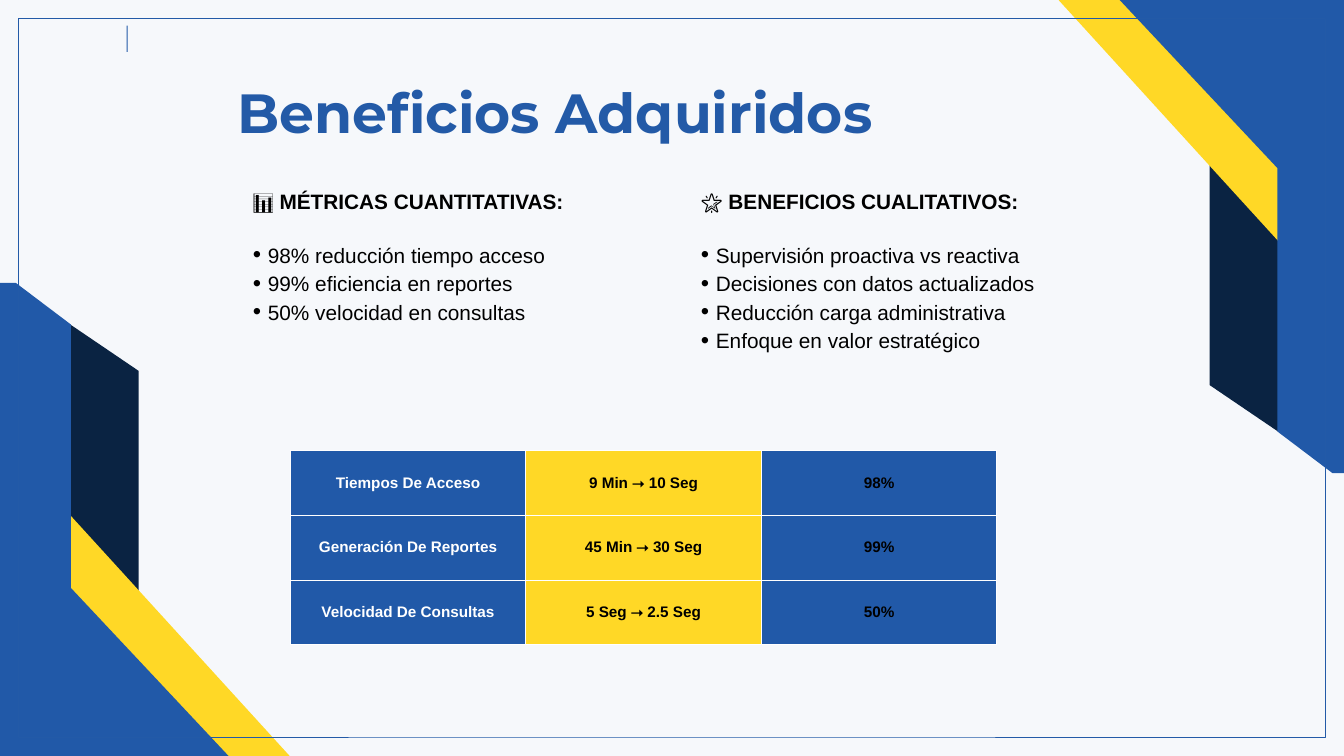
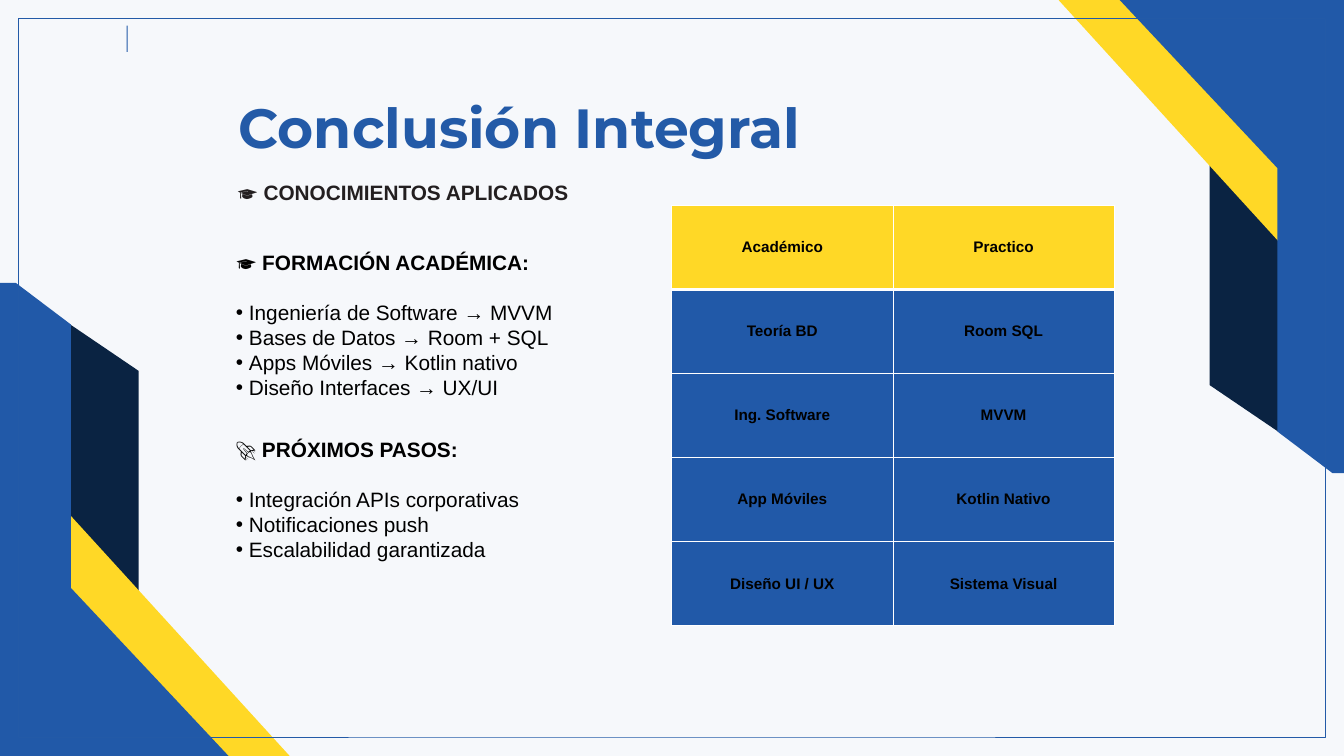
import dataclasses

import lxml.etree
import pptx
import pptx.dml.color
import pptx.enum.shapes
import pptx.enum.text
import pptx.oxml.ns
import pptx.util

Inches = pptx.util.Inches
Pt = pptx.util.Pt
qn = pptx.oxml.ns.qn


@dataclasses.dataclass(frozen=True)
class Theme:
    wide: float = 21.99
    high: float = 12.37
    paper: str = "F6F8FB"
    navy: str = "0A2342"
    gold: str = "FFD826"
    blue: str = "2159A8"
    title: str = "235AA7"
    ink: str = "231F20"
    black: str = "000000"
    white: str = "FFFFFF"
    font: str = "Arial"
    bold: str = "Montserrat"
    big: float = 65
    body: float = 24.5
    dot: float = 28
    small: float = 18
    lead: float = 1.2


BANDS = [
    ("navy", [(1.15, 5.31), (1.15, 8.94), (2.27, 9.7), (2.27, 6.07)]),
    ("gold", [(1.14, 8.42), (1.14, 9.93), (3.6, 12.37), (4.74, 12.37)]),
    ("blue", [(0.26, 4.63), (0, 4.63), (0, 12.37), (3.74, 12.37),
              (1.16, 9.62), (1.16, 5.31)]),
]
TURN = 22.06


def tint(code):
    return pptx.dml.color.RGBColor.from_string(code)


class Deck:
    def __init__(self, theme):
        self.theme = theme
        self.show = pptx.Presentation()
        self.show.slide_width = Inches(theme.wide)
        self.show.slide_height = Inches(theme.high)
        self.slide = None

    def page(self):
        theme = self.theme
        self.slide = self.show.slides.add_slide(self.show.slide_layouts[6])
        back = self.slide.background.fill
        back.solid()
        back.fore_color.rgb = tint(theme.paper)
        for name, dots in BANDS:
            self.band(dots, getattr(theme, name))
        for name, dots in BANDS:
            spun = [(min(TURN - x, theme.wide), theme.high - y) for x, y in dots]
            self.band(spun, getattr(theme, name))
        self.box(0.3, 0.3, 21.38, 11.76, line=theme.title)
        self.box(2.07, 0.42, 0.02, 0.43, fill=theme.blue)

    def paint(self, shape, fill=None, line=None):
        shape.shadow.inherit = False
        if fill:
            shape.fill.solid()
            shape.fill.fore_color.rgb = tint(fill)
        else:
            shape.fill.background()
        if line:
            shape.line.color.rgb = tint(line)
            shape.line.width = Pt(0.82)
        else:
            shape.line.fill.background()

    def band(self, dots, fill):
        ends = [(Inches(x), Inches(y)) for x, y in dots]
        path = self.slide.shapes.build_freeform(*ends[0], scale=1.0)
        path.add_line_segments(ends[1:], close=True)
        self.paint(path.convert_to_shape(), fill)

    def box(self, left, top, width, height, fill=None, line=None):
        kind = pptx.enum.shapes.MSO_SHAPE.RECTANGLE
        shape = self.slide.shapes.add_shape(
            kind, Inches(left), Inches(top), Inches(width), Inches(height))
        self.paint(shape, fill, line)

    def frame(self, left, top, width, height, side=0.1, edge=0.05):
        shape = self.slide.shapes.add_textbox(
            Inches(left), Inches(top), Inches(width), Inches(height))
        text = shape.text_frame
        text.word_wrap = True
        text.margin_left = text.margin_right = Inches(side)
        text.margin_top = text.margin_bottom = Inches(edge)
        return text

    def run(self, para, words, size, color, bold=False, font=None):
        run = para.add_run()
        run.text = words
        run.font.size = Pt(size)
        run.font.bold = bold
        run.font.name = font or self.theme.font
        run.font.color.rgb = tint(color)

    def title(self, words, left, top, width):
        theme = self.theme
        text = self.frame(left, top, width, 1.11, 0, 0.02)
        self.run(text.paragraphs[0], words, theme.big, theme.title, True, theme.bold)

    def label(self, words, left, top, width):
        theme = self.theme
        para = self.frame(left, top, width, 0.5, 0, 0.01).paragraphs[0]
        para.line_spacing = Pt(theme.body * theme.lead * 1.18)
        self.run(para, words, theme.body, theme.ink, True)

    def list(self, head, items, left, top, width, height, dot):
        theme = self.theme
        text = self.frame(left, top, width, height)
        para = text.paragraphs[0]
        gap = Pt(theme.body * theme.lead)
        para.line_spacing = gap
        self.run(para, head, theme.body, theme.black, True)
        for place, item in enumerate(items):
            para = text.add_paragraph()
            para.line_spacing = Pt(dot * theme.lead)
            para.space_before = Pt(0) if place else gap
            self.bullet(para, dot)
            self.run(para, item, theme.body, theme.black)

    def bullet(self, para, dot):
        prop = para._p.get_or_add_pPr()
        hang = Pt(dot * 0.63)
        prop.set("marL", str(hang))
        prop.set("indent", str(-hang))
        part = round(dot / self.theme.body * 100) * 1000
        lxml.etree.SubElement(prop, qn("a:buSzPct"), val=str(part))
        lxml.etree.SubElement(prop, qn("a:buFont"), typeface=self.theme.font)
        lxml.etree.SubElement(prop, qn("a:buChar"), char="•")

    def table(self, rows, left, top, width, height, style, head=False):
        theme = self.theme
        deep, across = len(rows), len(rows[0])
        grid = self.slide.shapes.add_table(
            deep, across, Inches(left), Inches(top),
            Inches(width), Inches(height)).table
        grid.first_row = grid.horz_banding = False
        for y, row in enumerate(rows):
            for x, words in enumerate(row):
                cell = grid.cell(y, x)
                fill, color = style(y, x)
                cell.fill.solid()
                cell.fill.fore_color.rgb = tint(fill)
                cell.vertical_anchor = pptx.enum.text.MSO_ANCHOR.MIDDLE
                para = cell.text_frame.paragraphs[0]
                para.alignment = pptx.enum.text.PP_ALIGN.CENTER
                self.run(para, words, theme.small, color, True)
                thick = {"T": 3 if head and y == 1 else 1,
                         "B": 3 if head and y == 0 else 1}
                self.rules(cell, thick)

    def rules(self, cell, thick):
        prop = cell._tc.get_or_add_tcPr()
        for place, side in enumerate("LRTB"):
            line = lxml.etree.Element(
                qn("a:ln" + side), w=str(Pt(thick.get(side, 1))))
            fill = lxml.etree.SubElement(line, qn("a:solidFill"))
            lxml.etree.SubElement(fill, qn("a:srgbClr"), val=self.theme.white)
            prop.insert(place, line)


def gains(deck):
    theme = deck.theme
    deck.page()
    deck.title("Beneficios Adquiridos", 3.88, 1.26, 12.61)
    deck.list("🌟 BENEFICIOS CUALITATIVOS:", [
        "Supervisión proactiva vs reactiva",
        "Decisiones con datos actualizados",
        "Reducción carga administrativa",
        "Enfoque en valor estratégico",
    ], 11.37, 3.04, 5.9, 2.81, theme.dot)
    deck.list("📊 MÉTRICAS CUANTITATIVAS:", [
        "98% reducción tiempo acceso",
        "99% eficiencia en reportes",
        "50% velocidad en consultas",
    ], 4.04, 3.04, 5.58, 2.34, theme.dot)
    looks = [(theme.blue, theme.white), (theme.gold, theme.black),
             (theme.blue, theme.black)]
    deck.table([
        ("Tiempos De Acceso", "9 Min ⭢ 10 Seg", "98%"),
        ("Generación De Reportes", "45 Min ⭢ 30 Seg", "99%"),
        ("Velocidad De Consultas", "5 Seg ⭢ 2.5 Seg", "50%"),
    ], 4.75, 7.37, 11.56, 3.18, lambda y, x: looks[x])


def close(deck):
    theme = deck.theme
    deck.page()
    deck.title("Conclusión Integral", 3.9, 1.5, 11.72)
    deck.label("🎓 CONOCIMIENTOS APLICADOS", 3.88, 2.86, 7.24)
    deck.list("🎓 FORMACIÓN ACADÉMICA:", [
        "Ingeniería de Software → MVVM",
        "Bases de Datos → Room + SQL",
        "Apps Móviles → Kotlin nativo",
        "Diseño Interfaces → UX/UI",
    ], 3.76, 4.04, 5.69, 2.57, theme.body)
    deck.list("🚀 PRÓXIMOS PASOS:", [
        "Integración APIs corporativas",
        "Notificaciones push",
        "Escalabilidad garantizada",
    ], 3.76, 7.1, 5.17, 2.16, theme.body)
    deck.table([
        ("Académico", "Practico"),
        ("Teoría BD", "Room SQL"),
        ("Ing. Software", "MVVM"),
        ("App Móviles", "Kotlin Nativo"),
        ("Diseño UI / UX", "Sistema Visual"),
    ], 10.99, 3.36, 7.24, 6.88,
        lambda y, x: (theme.blue if y else theme.gold, theme.black), head=True)


def main():
    deck = Deck(Theme())
    gains(deck)
    close(deck)
    deck.show.save("out.pptx")


if __name__ == "__main__":
    main()
